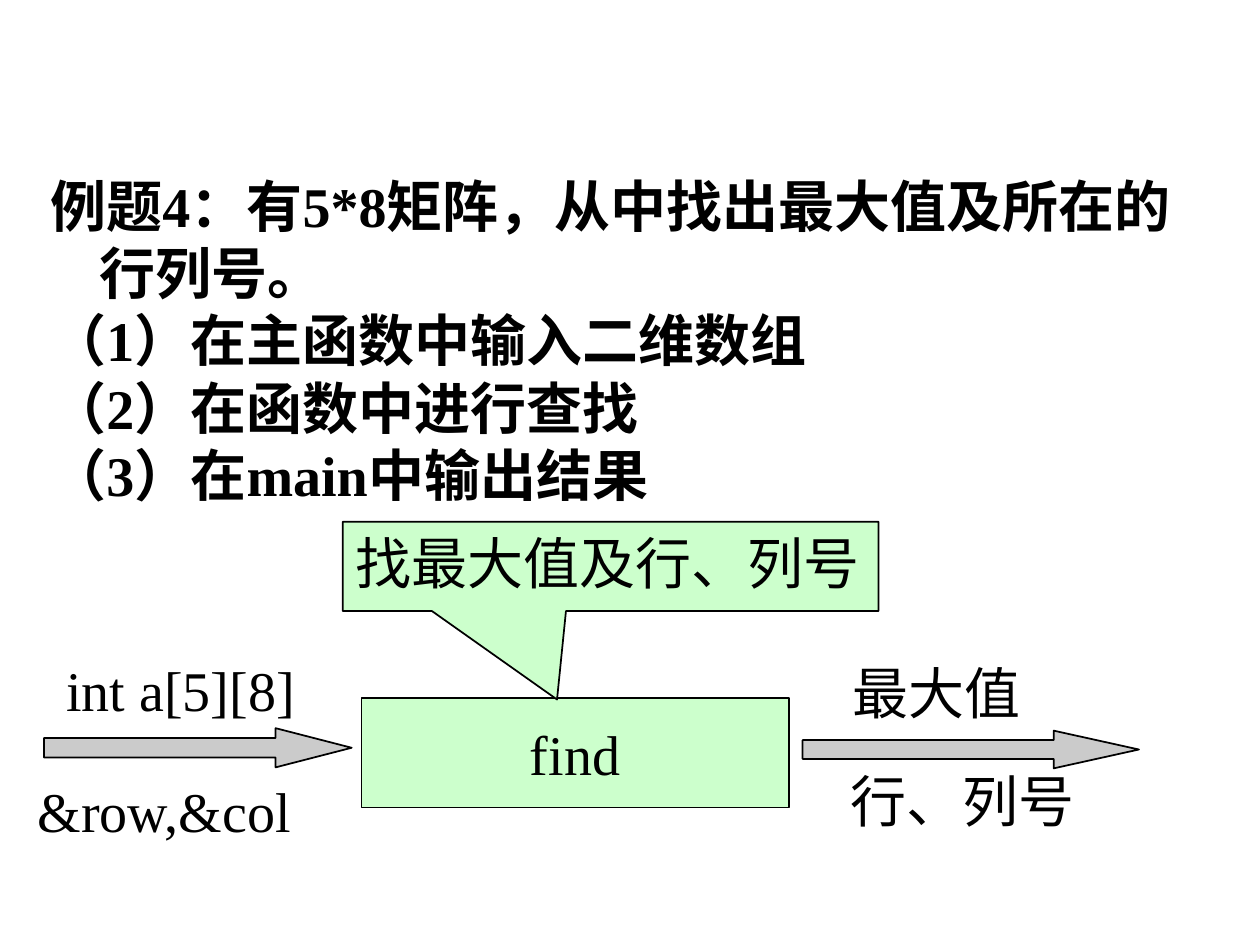
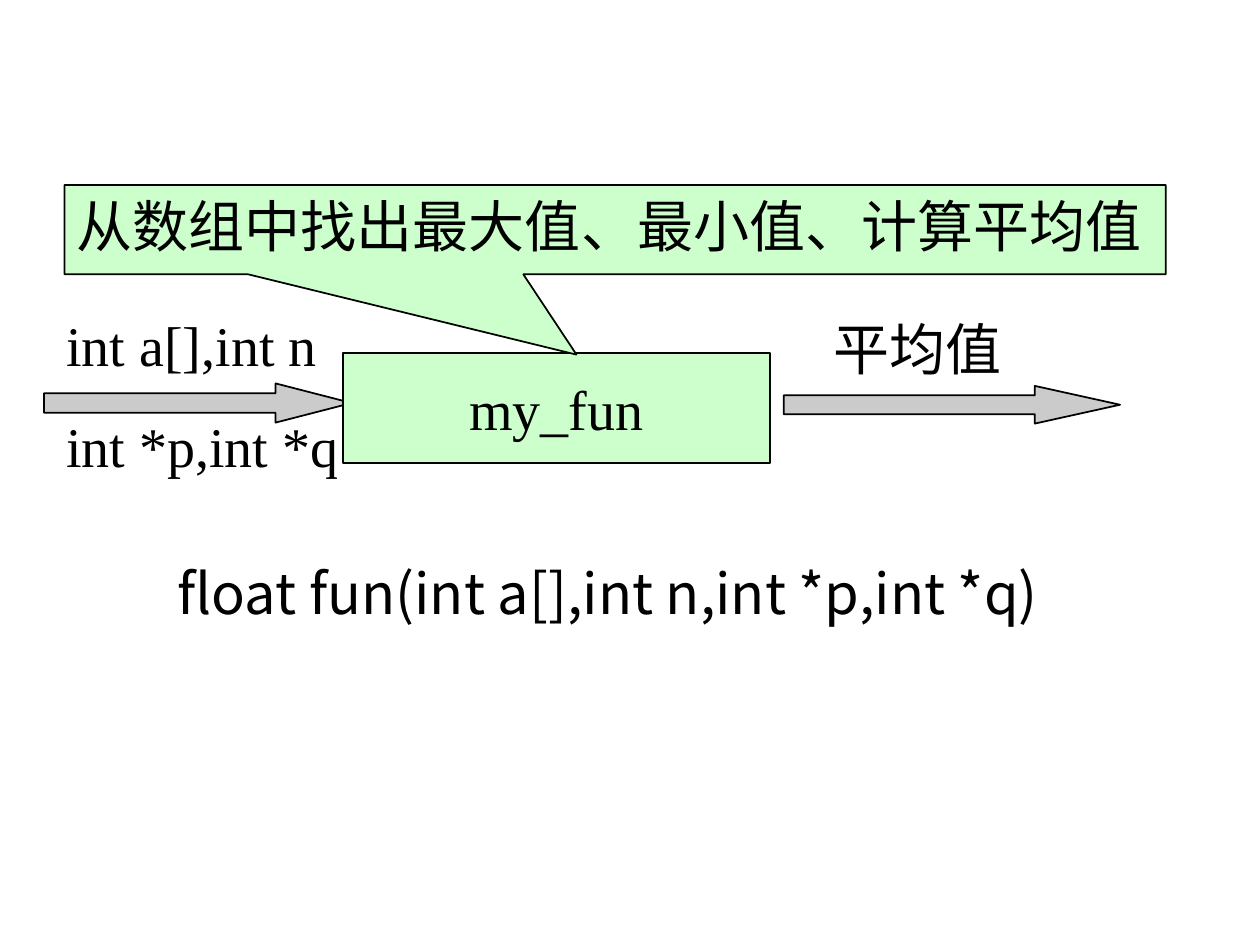
from pptx import Presentation
from pptx.dml.color import RGBColor
from pptx.enum import shapes, text
from pptx.oxml import ns
from pptx.util import Cm, Pt

BLACK = RGBColor(0x00, 0x00, 0x00)
GREEN = RGBColor(0xCC, 0xFF, 0xCC)
GRAY = RGBColor(0xCB, 0xCB, 0xCB)
SERIF = "Times New Roman"
CJK = "Noto Sans CJK SC"
CONTENT_LAYOUT, BLANK_LAYOUT = 1, 6
FUNCTION_WIDTH, FUNCTION_HEIGHT = 8.61, 2.21


def write(frame, lines, font=SERIF, bold=False, align=text.PP_ALIGN.LEFT, gap=0):
    """Fill a text frame with one paragraph per line, set in 32 points."""
    frame.text = "\n".join(lines)
    frame.word_wrap = True
    frame.auto_size = text.MSO_AUTO_SIZE.NONE
    for number, paragraph in enumerate(frame.paragraphs):
        paragraph.alignment = align
        paragraph.space_before = Pt(gap if number else 0)
        for run in paragraph.runs:
            run.font.size = Pt(32)
            run.font.bold = bold
            run.font.name = font
            run.font.color.rgb = BLACK
            east_asian = run.font._element.makeelement(ns.qn("a:ea"), {"typeface": CJK})
            run.font._element.append(east_asian)


def add_label(slide, left, top, width, lines, **style):
    label = slide.shapes.add_textbox(Cm(left), Cm(top), Cm(width), Cm(1.63))
    write(label.text_frame, lines, **style)


def add_block(slide, kind, left, top, width, height, fill, adjustments=()):
    block = slide.shapes.add_shape(kind, Cm(left), Cm(top), Cm(width), Cm(height))
    block.shadow.inherit = False
    block.fill.solid()
    block.fill.fore_color.rgb = fill
    block.line.color.rgb = BLACK
    block.line.width = Pt(1)
    for index, value in enumerate(adjustments):
        block.adjustments[index] = value
    return block


def add_callout(slide, left, top, width, pointer, purpose):
    callout = add_block(slide, shapes.MSO_SHAPE.RECTANGULAR_CALLOUT,
                        left, top, width, 1.8, GREEN, pointer)
    callout.text_frame.vertical_anchor = text.MSO_ANCHOR.TOP
    write(callout.text_frame, [purpose])


def add_function(slide, left, top, name, inputs, result):
    """Draw inputs -> function box -> result, placed relative to the box."""
    arrow = shapes.MSO_SHAPE.RIGHT_ARROW
    # Inputs
    add_block(slide, arrow, 0.89, top + 0.61, 6.2, 0.79, GRAY, (0.5, 1.94))
    add_label(slide, 1.09, top - 0.99, 6.4, inputs, gap=19.4)
    # Function box
    box = add_block(slide, shapes.MSO_SHAPE.RECTANGLE, left, top,
                    FUNCTION_WIDTH, FUNCTION_HEIGHT, GREEN)
    box.text_frame.vertical_anchor = text.MSO_ANCHOR.MIDDLE
    write(box.text_frame, [name], align=text.PP_ALIGN.CENTER)
    # Result
    exit_left = left + FUNCTION_WIDTH + 0.28
    add_label(slide, exit_left + 0.76, top - 0.91, 6.5, [result])
    add_block(slide, arrow, exit_left, top + 0.66, 6.78, 0.76, GRAY, (0.5, 2.26))


def add_exercise(slide, lines):
    """Set the exercise in the body placeholder with hanging indents."""
    title = slide.shapes.title._element
    title.getparent().remove(title)
    body = slide.placeholders[1]
    body.left, body.top, body.width, body.height = Cm(0.76), Cm(3.33), Cm(24.13), Cm(7.59)
    body.text_frame.text = "\n".join(lines)
    write(body.text_frame, lines, bold=True)
    for paragraph in body.text_frame.paragraphs:
        properties = paragraph._p.get_or_add_pPr()
        properties.set("marL", str(Cm(1)))
        properties.set("indent", str(-Cm(1)))
        properties.append(properties.makeelement(ns.qn("a:buNone"), {}))


def build_find(deck):
    slide = deck.slides.add_slide(deck.slide_layouts[CONTENT_LAYOUT])
    add_exercise(slide, ["例题4：有5*8矩阵，从中找出最大值及所在的行列号。",
                         "（1）在主函数中输入二维数组",
                         "（2）在函数中进行查找",
                         "（3）在main中输出结果"])
    add_function(slide, 7.29, 14.07, "find", ["int a[5][8]"], "最大值")
    add_callout(slide, 6.91, 10.52, 10.8, (-0.1, 1.49), "找最大值及行、列号")
    # Values handed back through pointers
    add_label(slide, 16.89, 15.32, 7.6, ["行、列号"])
    add_label(slide, 0.51, 15.52, 6.4, ["&row,&col"])


def build_my_fun(deck):
    slide = deck.slides.add_slide(deck.slide_layouts[BLANK_LAYOUT])
    add_function(slide, 6.91, 7.12, "my_fun", ["int a[],int n", "int *p,int *q"], "平均值")
    add_callout(slide, 1.3, 3.73, 22.2, (-0.035, 1.4),
                "从数组中找出最大值、最小值、计算平均值")
    # Prototype
    add_label(slide, 3.33, 11.13, 19, ["float fun(int a[],int n,int *p,int *q)"], font=CJK)


def main():
    deck = Presentation()
    deck.slide_width, deck.slide_height = Cm(25.4), Cm(19.05)
    build_find(deck)
    build_my_fun(deck)
    deck.save("out.pptx")


if __name__ == "__main__":
    main()
